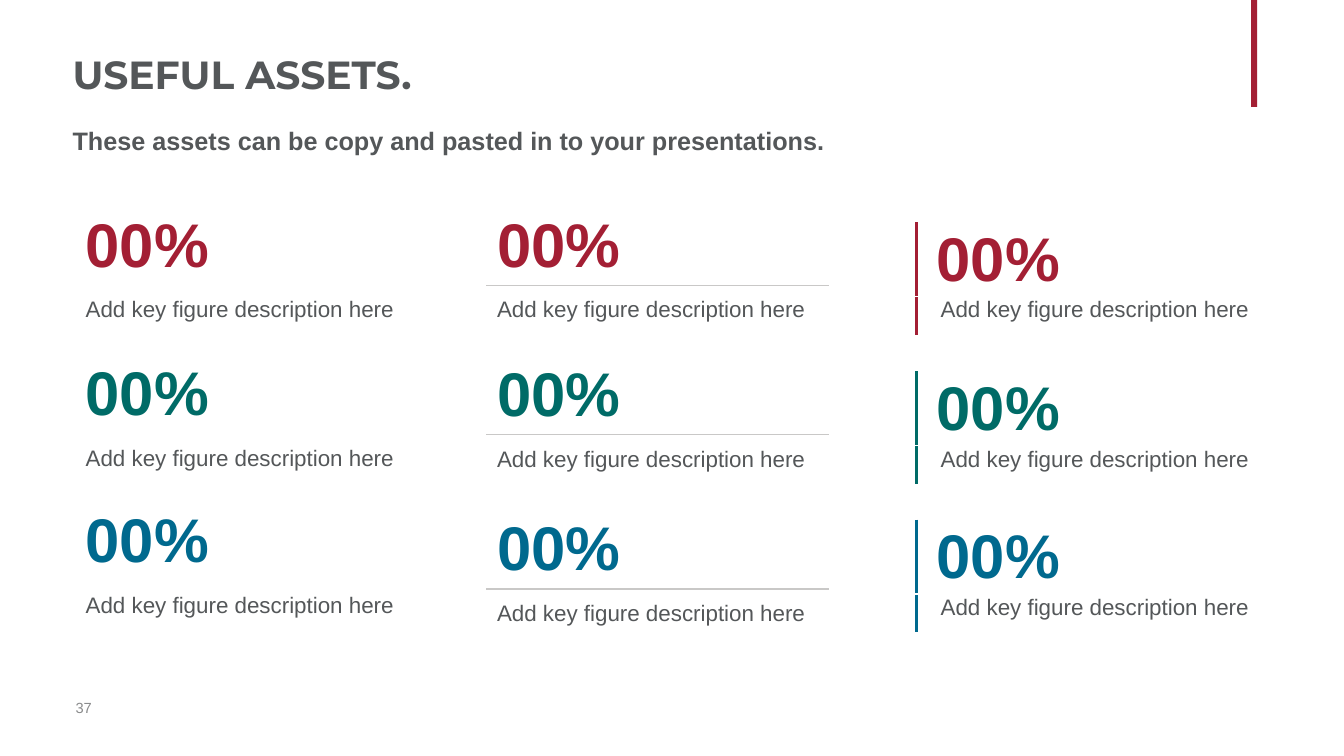
"""Build the "Useful assets" slide: nine key figures in three table styles."""
import pptx
import pptx.dml.color
import pptx.enum.shapes
import pptx.enum.text
import pptx.oxml
import pptx.oxml.ns
import pptx.util

Inches = pptx.util.Inches
Pt = pptx.util.Pt
RGBColor = pptx.dml.color.RGBColor
ANCHOR = pptx.enum.text.MSO_ANCHOR

RED = RGBColor(0xA3, 0x1F, 0x34)
GREEN = RGBColor(0x00, 0x6B, 0x67)
BLUE = RGBColor(0x00, 0x69, 0x8E)
TEXT = RGBColor(0x54, 0x57, 0x59)
PALE = RGBColor(0x8A, 0x8B, 0x8C)
RULE = RGBColor(0xC9, 0xC8, 0xC7)


def write(holder, text, size, color, bold, font="Arial"):
    """Put one formatted line into a text box or a table cell."""
    p = holder.text_frame.paragraphs[0]
    p.text = text
    p.font.name, p.font.size, p.font.bold = font, Pt(size), bold
    p.font.color.rgb = color


def add_border(cell, side, color, width):
    """Draw one side of a table cell."""
    ln = pptx.oxml.parse_xml(
        f'<a:{side} {pptx.oxml.ns.nsdecls("a")} w="{Pt(width)}"><a:solidFill>'
        f'<a:srgbClr val="{color}"/></a:solidFill></a:{side}>')
    cell._tc.get_or_add_tcPr().insert(0, ln)


prs = pptx.Presentation()
prs.slide_width, prs.slide_height = Inches(13.33), Inches(7.5)
s = prs.slides.add_slide(prs.slide_layouts[6])

accent = s.shapes.add_shape(pptx.enum.shapes.MSO_SHAPE.RECTANGLE,
                            Inches(12.41), 0, Inches(0.06), Inches(1.06))
accent.shadow.inherit = False
accent.fill.solid()
accent.fill.fore_color.rgb = RED
accent.line.fill.background()

texts = [
    ("USEFUL ASSETS.", (0.72, 0.33, 8.81, 1.24), 0.17, ANCHOR.TOP, 28, TEXT, True, "Montserrat"),
    ("37", (0.75, 6.82, 0.27, 0.4), 0.05, ANCHOR.MIDDLE, 10.5, PALE, False, "Arial"),
    ("These assets can be copy and pasted in to your presentations.",
     (0.72, 1.19, 8.28, 0.4), 0.05, ANCHOR.TOP, 18, TEXT, True, "Arial"),
]
for text, box, inset, anchor, size, color, bold, font in texts:
    sp = s.shapes.add_textbox(*map(Inches, box))
    tf = sp.text_frame
    tf.word_wrap = True
    tf.vertical_anchor = anchor
    tf.margin_left = tf.margin_right = 0
    tf.margin_top, tf.margin_bottom = Inches(inset), Inches(0.05)
    write(sp, text, size, color, bold, font)

STACKED = [(ANCHOR.BOTTOM, (0.1, 0.05, 0.1, 0.05)), (ANCHOR.TOP, (0.1, 0.12, 0.1, 0.05))]
BARRED = [(ANCHOR.MIDDLE, (0.2, 0, 0.1, 0)), (ANCHOR.MIDDLE, (0.24, 0, 0.1, 0.12))]
columns = [
    ("plain", 0.75, (2, 3.47, 4.93), 3.61, 1.51, (0.67, 0.67), STACKED),
    ("ruled", 4.83, (2, 3.48, 5.01), 3.39, 1.51, (0.67, 0.67), STACKED),
    ("barred", 9.09, (2.21, 3.69, 5.16), 3.51, 1.12, (0.49, 0.33), BARRED),
]
for style, left, tops, width, height, row_heights, layout in columns:
    for top, color in zip(tops, (RED, GREEN, BLUE)):
        frame = s.shapes.add_table(2, 1, Inches(left), Inches(top), Inches(width), Inches(height))
        table = frame.table
        table.first_row = table.horz_banding = False
        for i, (anchor, margins) in enumerate(layout):
            table.rows[i].height = Inches(row_heights[i])
            cell = table.cell(i, 0)
            cell.fill.background()
            cell.vertical_anchor = anchor
            (cell.margin_left, cell.margin_top,
             cell.margin_right, cell.margin_bottom) = map(Inches, margins)
            if style == "ruled":
                add_border(cell, ("lnB", "lnT")[i], RULE, 1)
            elif style == "barred":
                add_border(cell, "lnL", color, 3)
        frame.height = Inches(height)
        write(table.cell(0, 0), "00%", 44, color, True)
        write(table.cell(1, 0), "Add key figure description here", 16, TEXT, False)

prs.save("out.pptx")
